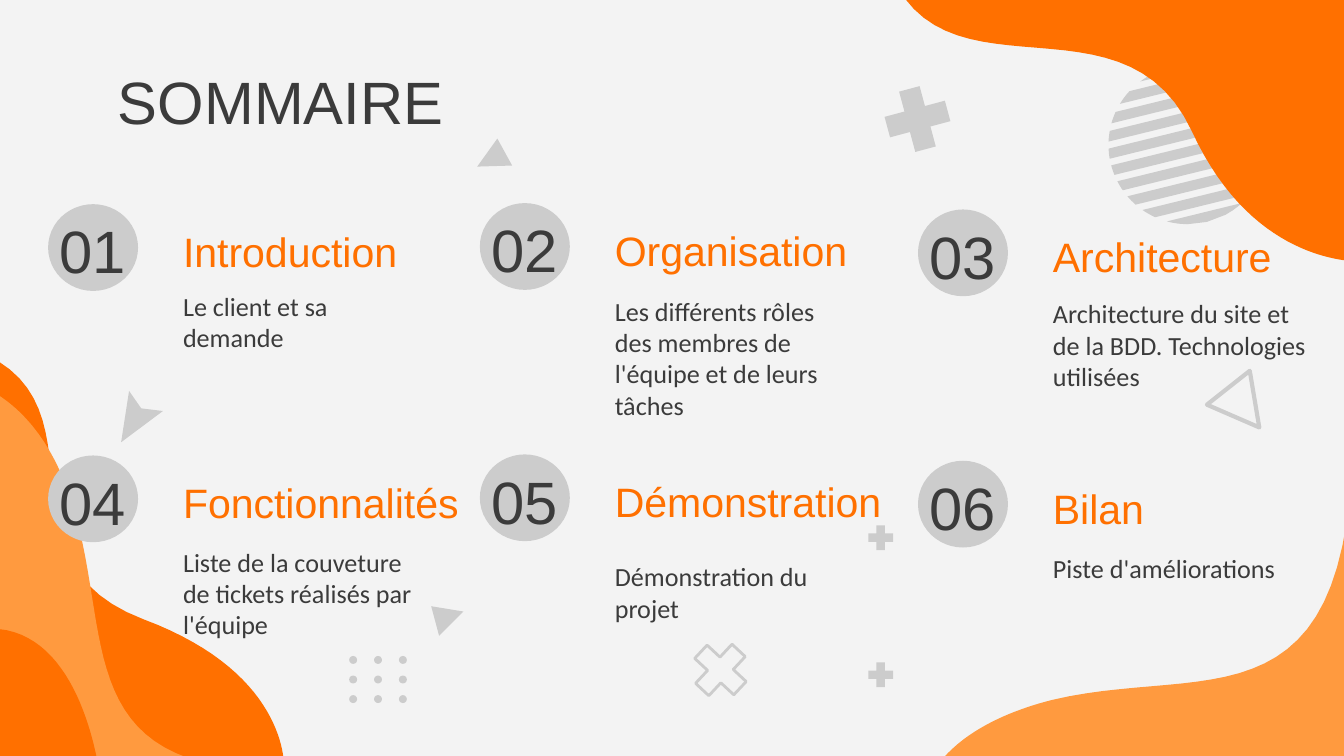
import math

from pptx import Presentation
from pptx import util as u
from pptx.dml.color import RGBColor
from pptx.enum import shapes, text

COLORS = {
    "paper": "F3F3F3",
    "orange": "FF7000",
    "apricot": "FF9A3F",
    "grey": "CCCCCC",
    "ink": "3B3B3B",
}

# Outlines start at the first point; a step is a line (1 point) or a curve (3 points).
TOP_RIGHT = [
    ("orange", (8.35, 0), [
        [(8.38, 4.96)],
        [(7.67, 4.88), (6.32, 4.45), (5.43, 2.52)],
        [(4.26, -0.02), (1.29, 1.73), (0, 0)]]),
]
BOTTOM_LEFT = [
    ("orange", (0, 7.5), [
        [(5.39, 7.5)],
        [(5.31, 6.89), (4.86, 5.67), (2.75, 4.88)],
        [(-0.02, 3.84), (1.88, 1.17), (0, 0)]]),
    ("apricot", (0, 7.5), [
        [(3.59, 7.5)],
        [(1.6, 6.81), (2.04, 4.75), (1.4, 2.7)],
        [(1.05, 1.58), (0.51, 0.97), (0, 0.64)]]),
    ("orange", (0, 7.5), [
        [(1.86, 7.5)],
        [(1.71, 6.76), (1.25, 5.18), (0, 5.06)]]),
]
BOTTOM_RIGHT = [
    ("apricot", (7.64, 4.47), [
        [(7.64, 0)],
        [(7.08, 3.73), (4.64, 2.74), (2.08, 3.35)],
        [(1.06, 3.61), (0.4, 4.01), (0, 4.47)]]),
]

COLUMNS = [(0.81, 3.86), (8.97, 3.84), (17.25, 3.96)]
ROW_PITCH = 4.75
# heading, heading width, description, then its top, width and height
CHAPTERS = [
    ("Introduction", 4.85, "Le client et sa demande", (1.32, 4.93, 1.8)),
    ("Organisation", 5.05, "Les différents rôles des membres de l'équipe et de leurs tâches",
     (1.73, 4.93, 2.39)),
    ("Architecture", 4.85, "Architecture du site et de la BDD. Technologies utilisées",
     (1.63, 5.54, 1.85)),
    ("Fonctionnalités", 5.99, "Liste de la couveture de tickets réalisés par l'équipe",
     (1.7, 4.93, 1.8)),
    ("Démonstration", 5.77, "Démonstration du projet", (1.7, 4.93, 1.8)),
    ("Bilan", 5.61, "Piste d'améliorations", (1.12, 5.33, 1.8)),
]


def rgb(name):
    return RGBColor.from_string(COLORS[name])


def paint(shape, color, outline=None):
    """Fill the shape, or only draw its outline when a line width is given."""
    shape.shadow.inherit = False
    if outline:
        shape.fill.background()
        shape.line.color.rgb = rgb(color)
        shape.line.width = u.Pt(outline)
    else:
        shape.fill.solid()
        shape.fill.fore_color.rgb = rgb(color)
        shape.line.fill.background()


def add_polygon(slide, left, top, points, color, outline=None):
    corners = [(u.Cm(left + x), u.Cm(top + y)) for x, y in points]
    builder = slide.shapes.build_freeform(*corners[0], scale=1.0)
    builder.add_line_segments(corners[1:], close=True)
    paint(builder.convert_to_shape(), color, outline)


def add_preset(slide, kind, left, top, width, height, color, outline=None):
    shape = slide.shapes.add_shape(kind, u.Cm(left), u.Cm(top), u.Cm(width), u.Cm(height))
    paint(shape, color, outline)
    return shape


def add_label(slide, left, top, width, height, words, size, font, color, centred=False):
    label = slide.shapes.add_textbox(u.Cm(left), u.Cm(top), u.Cm(width), u.Cm(height))
    frame = label.text_frame
    frame.word_wrap = True
    frame.vertical_anchor = text.MSO_ANCHOR.MIDDLE
    frame.margin_left = frame.margin_right = u.Cm(0.25)
    frame.margin_top = frame.margin_bottom = u.Cm(0.25)
    paragraph = frame.paragraphs[0]
    paragraph.alignment = text.PP_ALIGN.CENTER if centred else text.PP_ALIGN.LEFT
    run = paragraph.add_run()
    run.text = words
    run.font.size = u.Pt(size)
    run.font.name = font
    run.font.color.rgb = rgb(color)


def trace(start, steps, parts=24):
    """Turn lines and Bézier curves into a list of points."""
    points = [start]
    for step in steps:
        if len(step) == 1:
            points.append(step[0])
            continue
        controls = [points[-1], *step]
        for i in range(1, parts + 1):
            t = i / parts
            weights = [math.comb(3, k) * t**k * (1 - t)**(3 - k) for k in range(4)]
            points.append(tuple(sum(w * c[axis] for w, c in zip(weights, controls))
                                for axis in (0, 1)))
    return points


def add_waves(slide, left, top, waves):
    for color, start, steps in waves:
        add_polygon(slide, left, top, trace(start, steps), color)


def add_striped_disc(slide, left, top, diameter, stripes=10, tilt=-13.8):
    radius = diameter / 2
    pitch, thickness = 0.32, 0.19
    first = radius - thickness - (stripes - 1) * pitch
    cos, sin = math.cos(math.radians(tilt)), math.sin(math.radians(tilt))
    for i in range(stripes):
        upper = first + i * pitch
        levels = [max(-radius, upper + thickness * k / 4) for k in range(5)]
        ends = [(math.sqrt(max(0, radius**2 - y**2)), y) for y in levels]
        stripe = ends + [(-x, y) for x, y in reversed(ends)]
        add_polygon(slide, left + radius, top + radius,
                    [(x * cos - y * sin, x * sin + y * cos) for x, y in stripe], "grey")


def add_dot_grid(slide, left, top):
    for row in range(3):
        for column in range(3):
            add_preset(slide, shapes.MSO_SHAPE.OVAL, left + column * 0.47, top + row * 0.37,
                       0.15, 0.15, "grey")


def add_cross(slide, left, top, size, rotation=0, outline=None):
    cross = add_preset(slide, shapes.MSO_SHAPE.CROSS, left, top, size, size, "grey", outline)
    cross.adjustments[0] = 0.33
    cross.rotation = rotation


def add_small_ornaments(slide):
    add_polygon(slide, 2.29, 7.39, [(0.38, 0.33), (0.15, 0), (0, 0.97), (0.79, 0.38)], "grey")
    add_polygon(slide, 9.02, 2.62, [(0, 0.53), (0.66, 0.51), (0.38, 0)], "grey")
    add_polygon(slide, 8.15, 11.46, [(0.61, 0.1), (0, 0), (0.15, 0.56)], "grey")
    add_polygon(slide, 22.81, 7.01, [(0.99, 1.07), (0.81, 0), (0, 0.64)], "grey", 2.25)
    add_cross(slide, 16.75, 1.66, 1.18, rotation=-15)
    add_cross(slide, 13.11, 12.16, 1.01, rotation=43, outline=1.5)
    for top in (9.93, 12.52):
        add_cross(slide, 16.41, top, 0.47)
    add_dot_grid(slide, 6.6, 12.4)


def add_chapter(slide, left, top, number, chapter):
    heading, heading_width, description, (offset, width, height) = chapter
    add_preset(slide, shapes.MSO_SHAPE.OVAL, left + 0.1, top, 1.7, 1.64, "grey")
    add_label(slide, left, top + 0.33, 1.88, 1.07, f"{number:02d}", 32, "Arial", "ink", True)
    add_label(slide, left + 2.4, top + 0.33, heading_width, 1.12, heading, 22, "Arial", "orange")
    add_label(slide, left + 2.4, top + offset, width, height, description, 14, "Calibri", "ink")


def build_summary(deck):
    slide = deck.slides.add_slide(deck.slide_layouts[6])
    slide.background.fill.solid()
    slide.background.fill.fore_color.rgb = rgb("paper")

    add_striped_disc(slide, 20.95, 1.24, 3)
    add_waves(slide, 17.1, -0.03, TOP_RIGHT)
    add_waves(slide, -0.03, 6.83, BOTTOM_LEFT)
    add_waves(slide, 17.81, 9.88, BOTTOM_RIGHT)
    add_small_ornaments(slide)

    add_label(slide, 1.98, 1.24, 21.41, 1.32, "SOMMAIRE", 32, "Arial", "ink")
    for index, chapter in enumerate(CHAPTERS):
        row, column = divmod(index, len(COLUMNS))
        left, top = COLUMNS[column]
        add_chapter(slide, left, top + row * ROW_PITCH, index + 1, chapter)


def main():
    deck = Presentation()
    deck.slide_width, deck.slide_height = u.Cm(25.4), u.Cm(14.29)
    build_summary(deck)
    deck.save("out.pptx")


if __name__ == "__main__":
    main()
